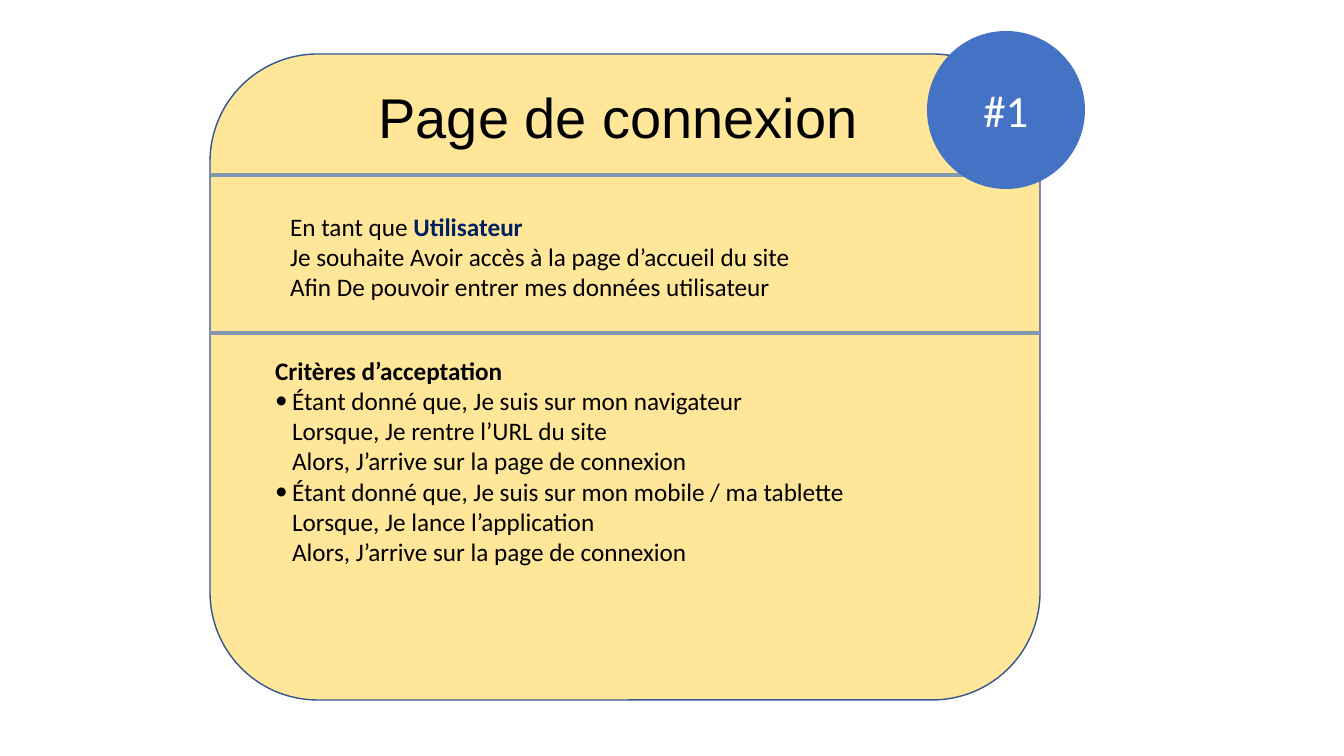
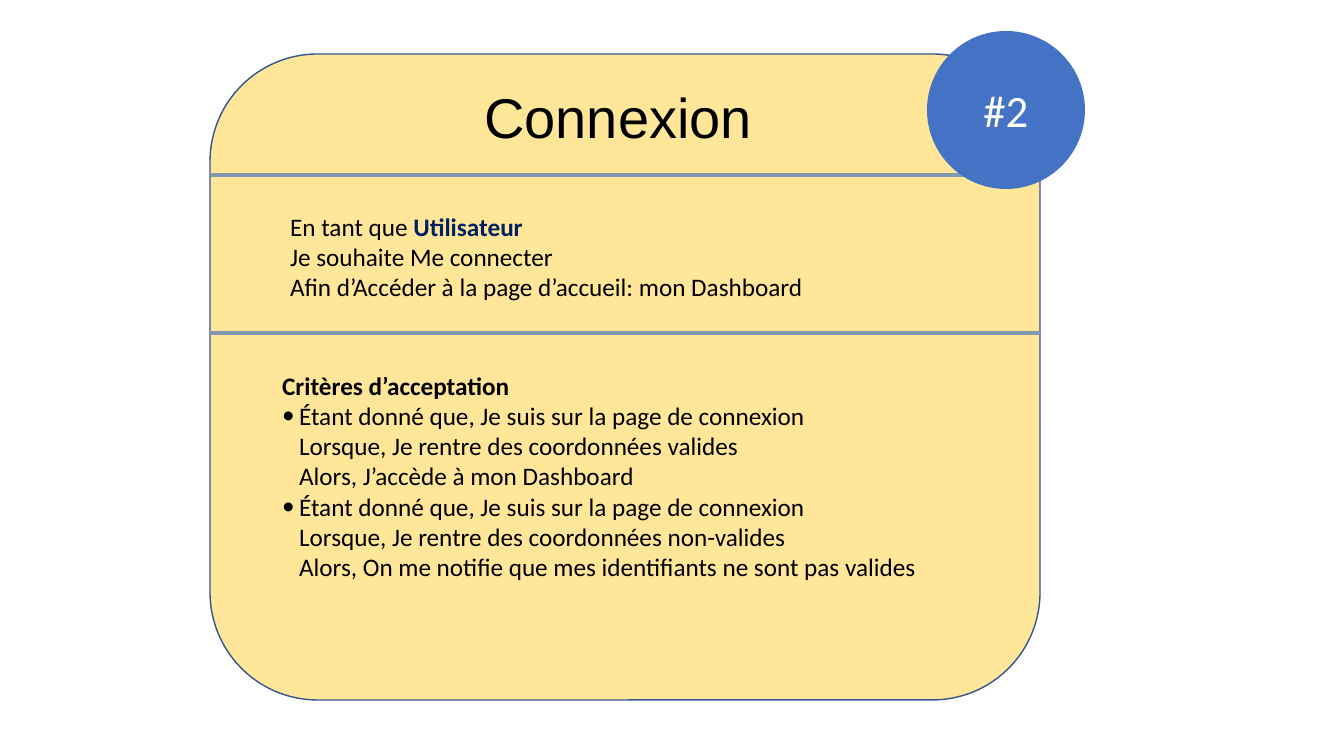
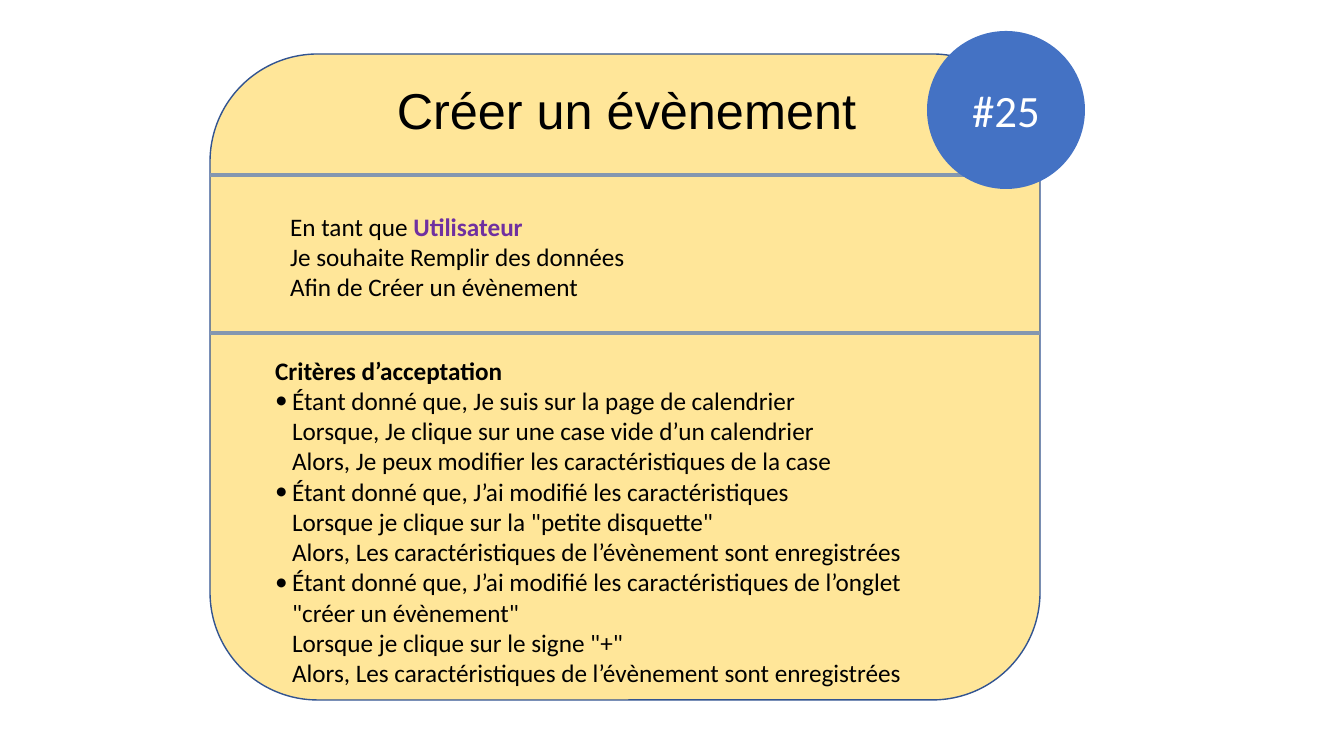
from collections import namedtuple

from lxml import etree
from pptx import Presentation
from pptx.dml.color import RGBColor
from pptx.enum.shapes import MSO_CONNECTOR as Connector, MSO_SHAPE as Preset
from pptx.enum.text import MSO_ANCHOR as Anchor, MSO_AUTO_SIZE as AutoSize, PP_ALIGN as Align
from pptx.oxml.ns import qn
from pptx.util import Pt

EMU_PER_PX = 914400 / 100.8
PAGE_WIDTH, PAGE_HEIGHT = 1344, 756
TWO_CONTENT_LAYOUT = 3

CARD_FILL, CARD_EDGE, RULE = "FFE699", "325491", "8497B0"
BADGE_FILL, WHITE, BLACK = "4472C4", "FFFFFF", "000000"
NAVY, PURPLE = "002060", "7030A0"

Box = namedtuple("Box", "left top width height")
Story = namedtuple("Story", "number title title_box title_size role_color wish goal criteria_box criteria")

CARD = Box(210, 54, 830, 646)
RULE_OFFSETS = (121, 279)
STORY_BOX = Box(70, 152, 692, 102)
BADGE_BOX = Box(717, -23, 158, 158)
TITLE_BOX = Box(70, 23, 676, 78)
CRITERIA_INDENT = 17

BODY_FORMAT = {"name": "Calibri", "size": Pt(18)}

STORIES = [
    Story("#1", "Page de connexion", TITLE_BOX, 40, NAVY,
          "Je souhaite Avoir accès à la page d’accueil du site",
          "Afin De pouvoir entrer mes données utilisateur",
          Box(55, 296, 707, 224), [
              ("Je suis sur mon navigateur",
               "Lorsque, Je rentre l’URL du site",
               "J’arrive sur la page de connexion"),
              ("Je suis sur mon mobile / ma tablette",
               "Lorsque, Je lance l’application",
               "J’arrive sur la page de connexion"),
          ]),
    Story("#2", "Connexion", TITLE_BOX, 40, NAVY,
          "Je souhaite Me connecter",
          "Afin d’Accéder à la page d’accueil: mon Dashboard",
          Box(62, 311, 707, 224), [
              ("Je suis sur la page de connexion",
               "Lorsque, Je rentre des coordonnées valides",
               "J’accède à mon Dashboard"),
              ("Je suis sur la page de connexion",
               "Lorsque, Je rentre des coordonnées non-valides",
               "On me notifie que mes identifiants ne sont pas valides"),
          ]),
    Story("#25", "Créer un évènement", Box(35, 20, 763, 72), 36, PURPLE,
          "Je souhaite Remplir des données",
          "Afin de Créer un évènement",
          Box(55, 296, 707, 346), [
              ("Je suis sur la page de calendrier",
               "Lorsque, Je clique sur une case vide d’un calendrier",
               "Je peux modifier les caractéristiques de la case"),
              ("J’ai modifié les caractéristiques",
               'Lorsque je clique sur la "petite disquette"',
               "Les caractéristiques de l’évènement sont enregistrées"),
              ('J’ai modifié les caractéristiques de l’onglet "créer un évènement"',
               'Lorsque je clique sur le signe "+"',
               "Les caractéristiques de l’évènement sont enregistrées"),
          ]),
]


def px(length):
    return round(length * EMU_PER_PX)


def color(hex_string):
    return RGBColor.from_string(hex_string)


def inside(outer, box):
    """Turn a box relative to outer into page coordinates."""
    return box._replace(left=outer.left + box.left, top=outer.top + box.top)


def set_all(target, values):
    for name, value in values.items():
        setattr(target, name, value)


def place(holder, box):
    """Move a placeholder and let its text start at the top."""
    set_all(holder, {name: px(length) for name, length in box._asdict().items()})
    set_all(holder.text_frame, {"word_wrap": True, "vertical_anchor": Anchor.TOP,
                                "auto_size": AutoSize.SHAPE_TO_FIT_TEXT})
    return holder.text_frame


def add_span(para, text, hex_string=BLACK, **font_format):
    span = para.add_run()
    span.text = text
    set_all(span.font, font_format)
    span.font.color.rgb = color(hex_string)


def add_para(frame, indent=0, bullet=False):
    """Start a tight paragraph, reusing the empty first one of the frame."""
    first = frame.paragraphs[0]
    para = first if not first.runs else frame.add_paragraph()
    set_all(para, {"space_before": Pt(0), "space_after": Pt(0), "line_spacing": 1.0})
    properties = para._p.get_or_add_pPr()
    properties.set("marL", str(px(indent)))
    properties.set("indent", str(px(-indent if bullet else 0)))
    if bullet:
        etree.SubElement(properties, qn("a:buFont"), typeface="Calibri")
        etree.SubElement(properties, qn("a:buChar"), char="•")
    else:
        etree.SubElement(properties, qn("a:buNone"))
    return para


def add_preset(page, preset, box, fill):
    shape = page.shapes.add_shape(preset, *map(px, box))
    shape.shadow.inherit = False
    shape.fill.solid()
    shape.fill.fore_color.rgb = color(fill)
    return shape


def add_card(page, box):
    card = add_preset(page, Preset.ROUNDED_RECTANGLE, box, CARD_FILL)
    card.line.color.rgb = color(CARD_EDGE)
    card.line.width = Pt(1)
    page.shapes.title.element.addprevious(card.element)
    for offset in RULE_OFFSETS:
        y = px(box.top + offset)
        rule = page.shapes.add_connector(
            Connector.STRAIGHT, px(box.left), y, px(box.left + box.width), y)
        rule.line.color.rgb = color(RULE)
        rule.line.width = Pt(2.25)
        etree.SubElement(rule.element.spPr, qn("a:effectLst"))


def fill_title(page, box, text, size):
    para = add_para(place(page.shapes.title, box))
    para.alignment = Align.CENTER
    add_span(para, text, name="Arial", size=Pt(size))


def fill_story(holder, box, story):
    frame = place(holder, box)
    para = add_para(frame)
    add_span(para, "En tant que ", **BODY_FORMAT)
    add_span(para, "Utilisateur", story.role_color, bold=True, **BODY_FORMAT)
    for text in (story.wish, story.goal):
        add_span(add_para(frame), text, **BODY_FORMAT)


def fill_criteria(holder, box, criteria):
    frame = place(holder, box)
    add_span(add_para(frame), "Critères d’acceptation", bold=True, **BODY_FORMAT)
    for given, when, then in criteria:
        given_para = add_para(frame, CRITERIA_INDENT, bullet=True)
        add_span(given_para, f"Étant donné que, {given}", **BODY_FORMAT)
        for text in (when, f"Alors, {then}"):
            add_span(add_para(frame, CRITERIA_INDENT), text, **BODY_FORMAT)


def add_badge(page, box, text):
    badge = add_preset(page, Preset.OVAL, box, BADGE_FILL)
    badge.line.fill.background()
    badge.text_frame.vertical_anchor = Anchor.MIDDLE
    para = badge.text_frame.paragraphs[0]
    para.alignment = Align.CENTER
    add_span(para, text, WHITE, name="Calibri", size=Pt(32))


def add_story_page(deck, story, box):
    page = deck.slides.add_slide(deck.slide_layouts[TWO_CONTENT_LAYOUT])
    add_card(page, box)
    fill_title(page, inside(box, story.title_box), story.title, story.title_size)
    fill_story(page.placeholders[1], inside(box, STORY_BOX), story)
    fill_criteria(page.placeholders[2], inside(box, story.criteria_box), story.criteria)
    add_badge(page, inside(box, BADGE_BOX), story.number)


def main():
    deck = Presentation()
    deck.slide_width, deck.slide_height = px(PAGE_WIDTH), px(PAGE_HEIGHT)
    for story in STORIES:
        add_story_page(deck, story, CARD)
    deck.save("out.pptx")


if __name__ == "__main__":
    main()
